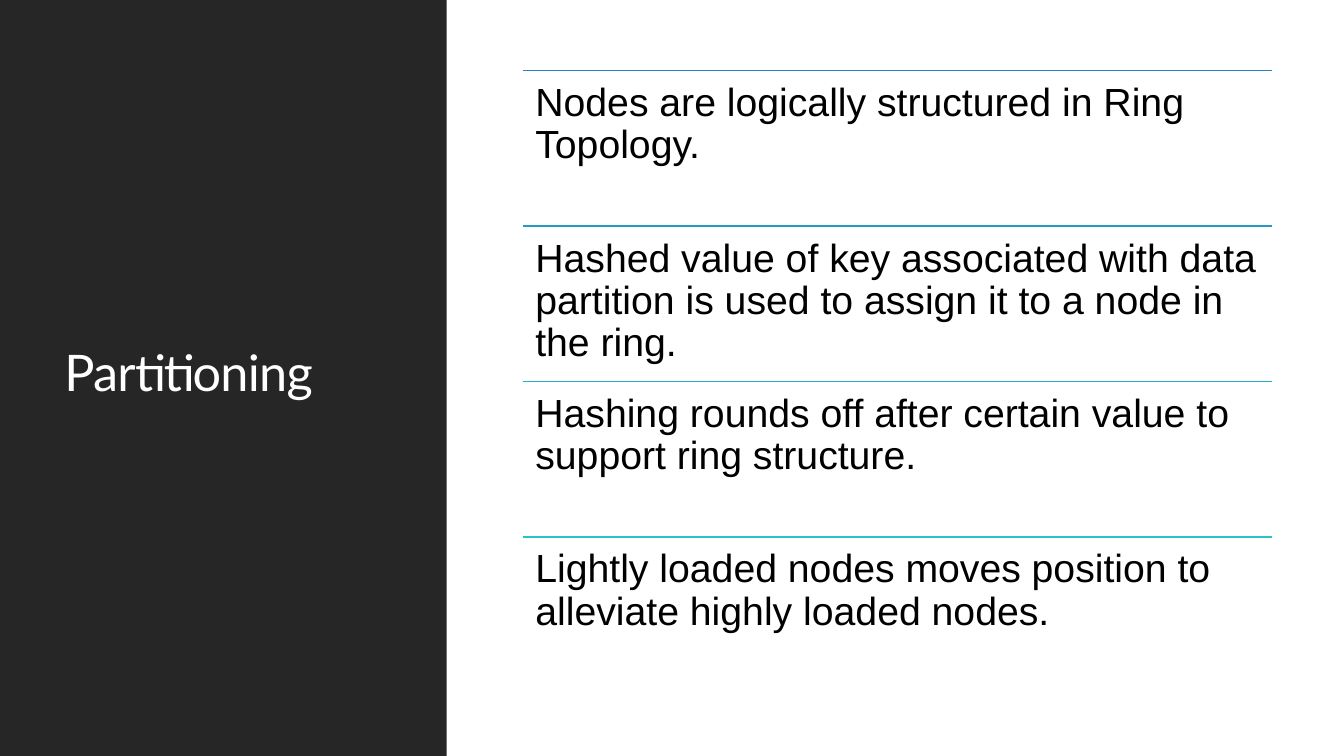
from dataclasses import dataclass

from lxml.etree import SubElement
from pptx import Presentation
from pptx.dml.color import RGBColor
from pptx.enum.shapes import MSO_CONNECTOR, MSO_SHAPE
from pptx.enum.text import MSO_ANCHOR
from pptx.oxml.ns import qn
from pptx.util import Inches, Pt


@dataclass(frozen=True)
class Theme:
    panel: str = "262626"
    title: str = "FFFFFF"
    body: str = "000000"
    title_font: str = "Lato"
    body_font: str = "Arial"
    title_size: int = 36
    body_size: int = 28
    rule_width: float = 1.25
    line_spacing: float = 0.9


THEME = Theme()

# Each statement with the colour of the rule above it
STATEMENTS = [
    ("Nodes are logically structured in Ring Topology.", "2683C6"),
    ("Hashed value of key associated with data partition is used to assign "
     "it to a node in the ring.", "2798C8"),
    ("Hashing rounds off after certain value to support ring structure.", "27AECA"),
    ("Lightly loaded nodes moves position to alleviate highly loaded nodes.", "28C4CC"),
]
LIST_LEFT, LIST_TOP, LIST_WIDTH, LIST_HEIGHT = 5.19, 0.7, 7.43, 6.17


def add_panel(slide, width, height):
    panel = slide.shapes.add_shape(
        MSO_SHAPE.RECTANGLE, 0, 0, Inches(width), Inches(height))
    panel.shadow.inherit = False
    panel.fill.solid()
    panel.fill.fore_color.rgb = RGBColor.from_string(THEME.panel)
    panel.line.fill.background()


def add_text(slide, text, left, top, width, height, font, size, color):
    box = slide.shapes.add_textbox(
        Inches(left), Inches(top), Inches(width), Inches(height))
    frame = box.text_frame
    frame.word_wrap = True
    frame.text = text
    paragraph = frame.paragraphs[0]
    paragraph.line_spacing = THEME.line_spacing
    run = paragraph.runs[0]
    run.font.name = font
    run.font.size = Pt(size)
    run.font.color.rgb = RGBColor.from_string(color)
    return frame


def add_title(slide, text):
    title = add_text(slide, text, 0.54, 0.57, 3.37, 6.31,
                     THEME.title_font, THEME.title_size, THEME.title)
    title.vertical_anchor = MSO_ANCHOR.MIDDLE
    # Tighten letter spacing by half a point
    title.paragraphs[0].runs[0].font._element.set("spc", "-50")


def add_rule(slide, left, top, width, color):
    rule = slide.shapes.add_connector(
        MSO_CONNECTOR.STRAIGHT, Inches(left), Inches(top),
        Inches(left + width), Inches(top))
    rule.line.color.rgb = RGBColor.from_string(color)
    rule.line.width = Pt(THEME.rule_width)
    SubElement(rule._element.spPr, qn("a:effectLst"))


def add_statement(slide, text, top, height, rule_color):
    add_rule(slide, LIST_LEFT, top, LIST_WIDTH, rule_color)
    statement = add_text(slide, text, LIST_LEFT, top, LIST_WIDTH, height,
                         THEME.body_font, THEME.body_size, THEME.body)
    statement.margin_left = statement.margin_right = Inches(0.12)
    statement.margin_top = statement.margin_bottom = Inches(0.12)


def main():
    deck = Presentation()
    deck.slide_width, deck.slide_height = Inches(13.33), Inches(7.5)
    slide = deck.slides.add_slide(deck.slide_layouts[6])

    # Dark title panel
    add_panel(slide, 4.43, 7.5)
    add_title(slide, "Partitioning")

    # Ruled list in equal rows
    row_height = LIST_HEIGHT / len(STATEMENTS)
    for row, (text, rule_color) in enumerate(STATEMENTS):
        add_statement(slide, text, LIST_TOP + row * row_height, row_height, rule_color)

    deck.save("out.pptx")


if __name__ == "__main__":
    main()
